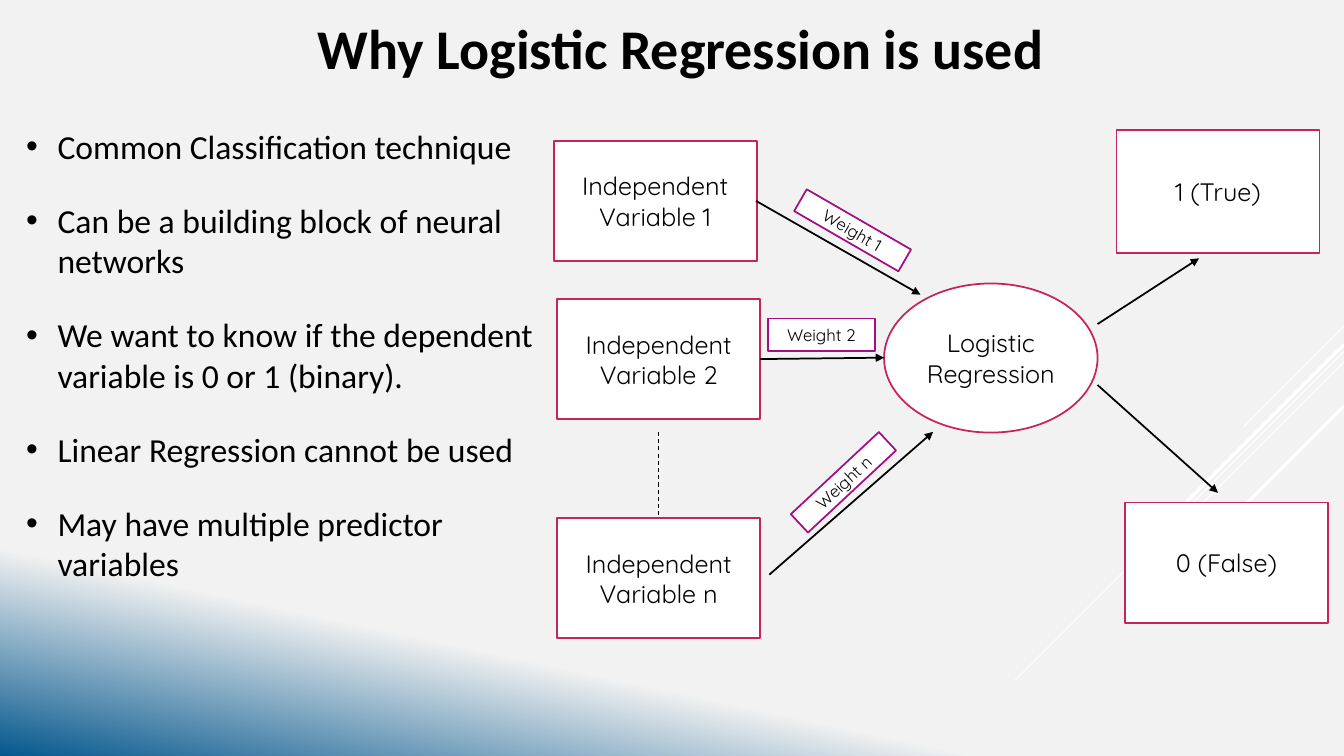
from pptx import Presentation
from pptx.dml.color import RGBColor
from pptx.enum.dml import MSO_LINE
from pptx.enum.shapes import MSO_CONNECTOR, MSO_SHAPE
from pptx.enum.text import MSO_ANCHOR, PP_ALIGN
from pptx.oxml.ns import qn
from pptx.util import Pt
from lxml import etree

STRAIGHT = MSO_CONNECTOR.STRAIGHT
RECTANGLE, OVAL = MSO_SHAPE.RECTANGLE, MSO_SHAPE.OVAL
DASH = MSO_LINE.DASH
CENTER = PP_ALIGN.CENTER
TOP, MIDDLE = MSO_ANCHOR.TOP, MSO_ANCHOR.MIDDLE

COLORS = {
    "text": "000000",
    "white": "FFFFFF",
    "node": "C6235F",
    "weight": "A50E82",
    "paper": "F2F2F2",
    "blue": "06588E",
}
BODY_FONT, DIAGRAM_FONT = "Calibri", "Quicksand"
SLIDE_WIDTH, SLIDE_HEIGHT = 960, 540
NODE_WIDTH, NODE_HEIGHT = 145, 86

BULLETS = [
    "Common Classification technique",
    "Can be a building block of neural networks",
    "We want to know if the dependent variable is 0 or 1 (binary).",
    "Linear Regression cannot be used",
    "May have multiple predictor variables",
]
# Right-edge height, horizontal run and width of each diagonal streak
STREAKS = [(233, 72, 0.75), (251, 235, 0.75), (258.5, 149, 0.75),
           (246, 137.5, 2.25), (290, 100, 2.25)]
# Label, left, top, width, height, shape
NODES = [
    ("Independent Variable 1", 395.5, 100.5, NODE_WIDTH, NODE_HEIGHT, RECTANGLE),
    ("Independent Variable 2", 398, 213.5, NODE_WIDTH, NODE_HEIGHT, RECTANGLE),
    ("Independent Variable n", 398, 370, NODE_WIDTH, NODE_HEIGHT, RECTANGLE),
    ("Logistic Regression", 631.5, 202.5, 152.5, 106.5, OVAL),
    ("0 (False)", 803.5, 359, NODE_WIDTH, NODE_HEIGHT, RECTANGLE),
    ("1 (True)", 797.5, 93, NODE_WIDTH, 88, RECTANGLE),
]
ARROWS = [
    ((540, 143.5), (657.5, 210.5)),
    ((549.5, 410.5), (666.5, 308.5)),
    ((543, 256.5), (631.5, 255.5)),
    ((784, 231.5), (856.5, 184.5)),
    ((784, 275), (870, 352)),
]
# Label, left, top, width, height, rotation
WEIGHTS = [
    ("Weight 1", 566, 155.5, 86, 18, 30),
    ("Weight 2", 548.5, 227.5, 76.5, 23, 0),
    ("Weight n", 559.5, 335.5, 86, 18, 317),
]


def color(name):
    return RGBColor.from_string(COLORS[name])


def set_font(para, name, size, bold=False):
    para.font.name = name
    para.font.size = Pt(size)
    para.font.bold = bold
    para.font.color.rgb = color("text")


def place(box, left, top, width, height):
    box.left, box.top = Pt(left), Pt(top)
    box.width, box.height = Pt(width), Pt(height)


def paint_background(slide):
    fill = slide.background.fill
    fill.gradient()
    fill.gradient_angle = 258
    for stop, name, position in zip(fill.gradient_stops, ("paper", "blue"), (0.8, 1)):
        stop.color.rgb = color(name)
        stop.position = position


def add_line(slide, start, end, color_name, width, arrow=False, dash=None):
    line = slide.shapes.add_connector(STRAIGHT, *(Pt(v) for v in (*start, *end)))
    line.line.color.rgb = color(color_name)
    line.line.width = Pt(width)
    if dash is not None:
        line.line.dash_style = dash
    if arrow:
        etree.SubElement(line.line._get_or_add_ln(), qn("a:tailEnd"), type="triangle")
    properties = line._element.spPr
    etree.SubElement(properties, qn("a:effectLst"))


def add_label_box(slide, label, bounds, outline, size, shape=RECTANGLE, rotation=0):
    box = slide.shapes.add_shape(shape, *(Pt(v) for v in bounds))
    box.rotation = rotation
    box.shadow.inherit = False
    box.fill.solid()
    box.fill.fore_color.rgb = color("white")
    box.line.color.rgb = color(outline)
    box.line.width = Pt(1.25)
    frame = box.text_frame
    frame.word_wrap = True
    frame.vertical_anchor = MIDDLE
    para = frame.paragraphs[0]
    para.text = label
    para.alignment = CENTER
    set_font(para, DIAGRAM_FONT, size)


def set_title(slide, text):
    title = slide.shapes.title
    place(title, 49.5, 6, 873.5, 55.5)
    frame = title.text_frame
    frame.text = text
    frame.vertical_anchor = TOP
    para = frame.paragraphs[0]
    para.alignment = CENTER
    set_font(para, BODY_FONT, 40, bold=True)


def add_bullets(slide, items):
    box = slide.shapes.add_textbox(Pt(11.5), Pt(86.5), Pt(399.5), Pt(436))
    frame = box.text_frame
    frame.word_wrap = True
    frame.text = "\n".join(items)
    for para in frame.paragraphs:
        para.space_after = Pt(24)
        set_font(para, BODY_FONT, 24)
        properties = para._p.get_or_add_pPr()
        properties.set("marL", str(Pt(22.5)))
        properties.set("indent", str(-Pt(22.5)))
        bullet_font = etree.Element(qn("a:buFont"), typeface="Arial")
        bullet = etree.Element(qn("a:buChar"), char="•")
        run_defaults = properties.find(qn("a:defRPr"))
        run_defaults.addprevious(bullet_font)
        run_defaults.addprevious(bullet)


def main():
    deck = Presentation()
    deck.slide_width, deck.slide_height = Pt(SLIDE_WIDTH), Pt(SLIDE_HEIGHT)
    slide = deck.slides.add_slide(deck.slide_layouts[5])

    # Backdrop
    paint_background(slide)
    for top, run, width in STREAKS:
        add_line(slide, (SLIDE_WIDTH, top), (SLIDE_WIDTH - run, top + run), "white", width)

    # Title and bullets
    set_title(slide, "Why Logistic Regression is used")
    add_bullets(slide, BULLETS)

    # Diagram
    for label, *bounds, shape in NODES:
        add_label_box(slide, label, bounds, "node", 18, shape)
    add_line(slide, (470.5, 308.5), (470.5, 370), "text", 0.75, dash=DASH)
    for start, end in ARROWS:
        add_line(slide, start, end, "text", 1.25, arrow=True)
    for label, *bounds, rotation in WEIGHTS:
        add_label_box(slide, label, bounds, "weight", 12, rotation=rotation)

    deck.save("out.pptx")


main()
